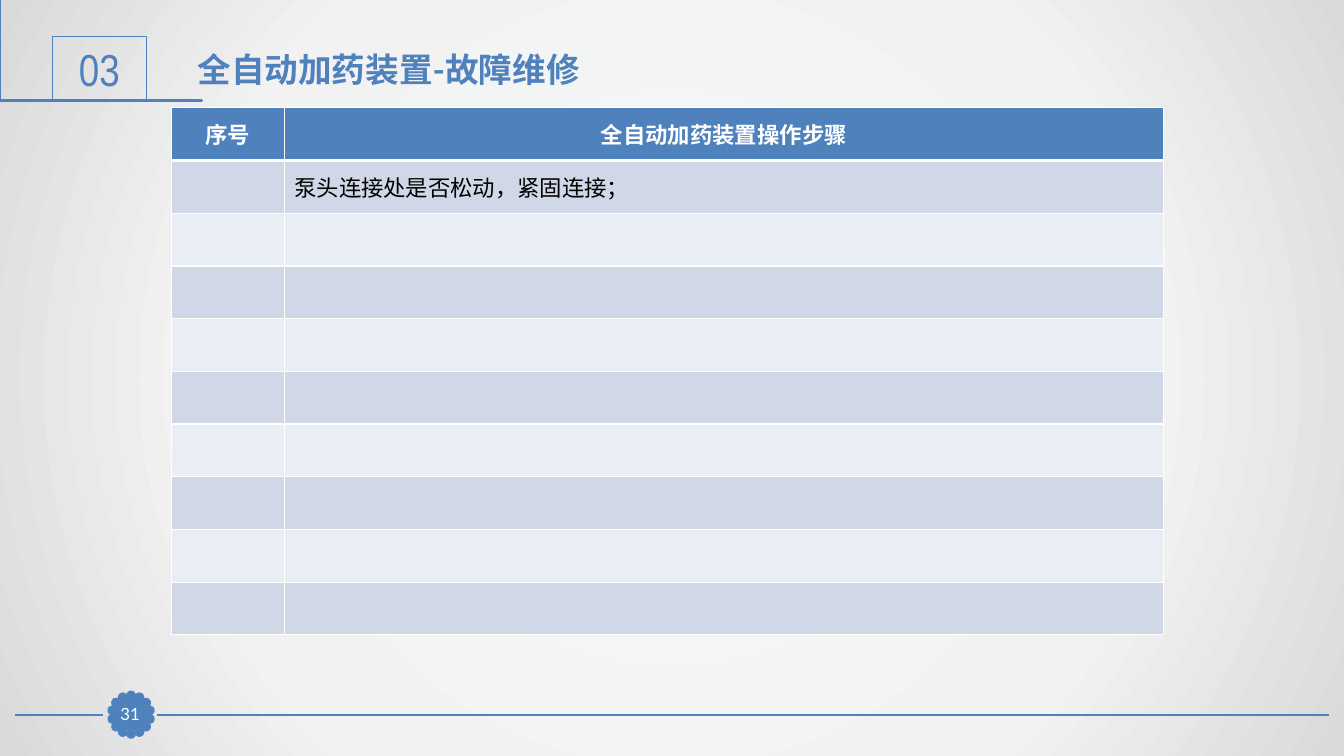
from math import cos, radians, sin

from lxml.etree import SubElement
from pptx import Presentation
from pptx.dml.color import RGBColor
from pptx.enum.shapes import MSO_CONNECTOR, MSO_SHAPE
from pptx.enum.text import MSO_ANCHOR, PP_ALIGN
from pptx.oxml import parse_xml
from pptx.oxml.ns import nsdecls, qn
from pptx.util import Inches, Pt

BLUE, WHITE, BLACK, GREEN = "4F81BD", "FFFFFF", "000000", "339933"
BANDS = ["D0D8E8", "E9EDF4"]
LATO, NARROW, CJK = "Lato", "Arial Narrow", "Noto Sans CJK SC"
LEFT, CENTER = PP_ALIGN.LEFT, PP_ALIGN.CENTER


def rgb(color):
    return RGBColor.from_string(color)


def inches(*lengths):
    return [Inches(length) for length in lengths]


class SlideBuilder:
    def __init__(self, slide):
        self.slide = slide
        self.shapes = slide.shapes

    def radial_background(self, stops):
        self.slide.background.fill.gradient()
        gradient = next(self.slide.element.iter(qn("a:gradFill")))
        colors = "".join(
            f'<a:gs pos="{percent * 1000}"><a:srgbClr val="{color}"/></a:gs>'
            for percent, color in stops)
        gradient.getparent().replace(gradient, parse_xml(
            f'<a:gradFill {nsdecls("a")} rotWithShape="1"><a:gsLst>{colors}</a:gsLst>'
            '<a:path path="circle"><a:fillToRect l="50000" t="50000" r="50000" b="50000"/>'
            '</a:path></a:gradFill>'))

    def style(self, shape, fill, line_width):
        shape.shadow.inherit = False
        if fill:
            shape.fill.solid()
            shape.fill.fore_color.rgb = rgb(fill)
        else:
            shape.fill.background()
        shape.line.color.rgb = rgb(BLUE)
        shape.line.width = Pt(line_width)
        return shape

    def line(self, start_x, end_x, y):
        rule = self.shapes.add_connector(
            MSO_CONNECTOR.STRAIGHT, *inches(start_x, y, end_x, y))
        rule.line.color.rgb = rgb(BLUE)
        rule.line.width = Pt(1.25)
        SubElement(rule._element.spPr, qn("a:effectLst"))

    def shape(self, kind, box, fill=None, line_width=0.75):
        return self.style(self.shapes.add_shape(kind, *inches(*box)), fill, line_width)

    def outline(self, points, fill, line_width):
        builder = self.shapes.build_freeform(*points[0], scale=Inches(1))
        builder.add_line_segments(points[1:], close=True)
        self.style(builder.convert_to_shape(), fill, line_width)

    def add_runs(self, frame, runs, size, color, bold=False, align=LEFT):
        paragraph = frame.paragraphs[0]
        paragraph.alignment = align
        for text, font_name in runs:
            run = paragraph.add_run()
            run.text = text
            font = run.font
            font.size, font.bold, font.name = Pt(size), bold, font_name
            font.color.rgb = rgb(color)
            SubElement(run._r.get_or_add_rPr(), qn("a:ea"), typeface=CJK)

    def label(self, box, text, size, color, font, fill=None, margin=None):
        frame = self.shape(MSO_SHAPE.RECTANGLE, box, fill).text_frame
        frame.vertical_anchor = MSO_ANCHOR.MIDDLE
        if margin is not None:
            frame.margin_left = frame.margin_right = Inches(margin)
            frame.margin_top = frame.margin_bottom = Inches(margin)
        self.add_runs(frame, [(text, font)], size, color, align=CENTER)

    def title(self, box, text):
        frame = self.shapes.add_textbox(*inches(*box)).text_frame
        frame.word_wrap = True
        self.add_runs(frame, [(text, LATO)], 24, BLUE, bold=True)

    def borders(self, cell, top, bottom):
        properties = cell._tc.get_or_add_tcPr()
        sides = [("lnL", 1), ("lnR", 1), ("lnT", top), ("lnB", bottom)]
        for position, (side, width) in enumerate(sides):
            properties.insert(position, parse_xml(
                f'<a:{side} {nsdecls("a")} w="{Pt(width)}"><a:solidFill>'
                f'<a:srgbClr val="{WHITE}"/></a:solidFill></a:{side}>'))

    def table(self, box, widths, row_count, texts):
        table = self.shapes.add_table(row_count, len(widths), *inches(*box)).table
        for column, width in zip(table.columns, widths):
            column.width = Inches(width)
        for r, row in enumerate(table.rows):
            row.height = Inches(box[3] / row_count)
            for c, cell in enumerate(row.cells):
                header = r == 0
                cell.vertical_anchor = MSO_ANCHOR.MIDDLE
                cell.fill.solid()
                cell.fill.fore_color.rgb = rgb(BLUE if header else BANDS[(r - 1) % 2])
                self.borders(cell, 3 if r == 1 else 1, 3 if header else 1)
                if (r, c) in texts:
                    self.add_runs(cell.text_frame, texts[r, c], 16,
                                  WHITE if header else BLACK, header,
                                  CENTER if header else LEFT)


def main():
    deck = Presentation()
    deck.slide_width, deck.slide_height = inches(13.33, 7.5)
    page = SlideBuilder(deck.slides.add_slide(deck.slide_layouts[6]))
    page.radial_background([(0, "F6F9FC"), (63, "F2F2F2"), (100, "D9D9D9")])

    for start_x, end_x in [(13.18, 1.56), (1.02, 0.15)]:
        page.line(start_x, end_x, 7.09)

    petals, dot, radius = 14, 0.07, 0.19
    for petal in range(petals):
        turn = 360 / petals * petal
        x = 1.3 + radius * sin(radians(turn)) - dot / 2
        y = 7.09 - radius * cos(radians(turn)) - dot / 2
        page.shape(MSO_SHAPE.OVAL, (x, y, dot, dot), BLUE, 2).rotation = turn

    bracket = [(0.37, 0.46), (0.38, 0.46), (0.38, 0.92), (1.71, 0.92), (1.71, 0.94),
               (0.36, 0.94), (0.36, 0.48), (0.31, 0.48), (0.31, 0.94), (0.19, 0.94),
               (0.19, 0.46), (0.23, 0.46), (0.23, 0.91), (0.28, 0.91), (0.28, 0.46)]
    page.outline(bracket, GREEN, 2)
    page.label((0.52, 0.36, 0.93, 0.64), "03", 32, BLUE, NARROW)
    page.label((1.13, 6.93, 0.32, 0.31), "31", 12, WHITE, LATO, BLUE, 0)
    page.title((1.86, 0.44, 9.69, 0.5), "全自动加药装置-故障维修")

    page.table((1.7, 1.07, 9.84, 5.23), [1.12, 8.72], 10, {
        (0, 0): [("序号", CJK)],
        (0, 1): [("全自动加药装置", LATO), ("操作步骤", CJK)],
        (1, 1): [("泵头连接处是否松动，紧固连接；", CJK)],
    })
    deck.save("out.pptx")


if __name__ == "__main__":
    main()
